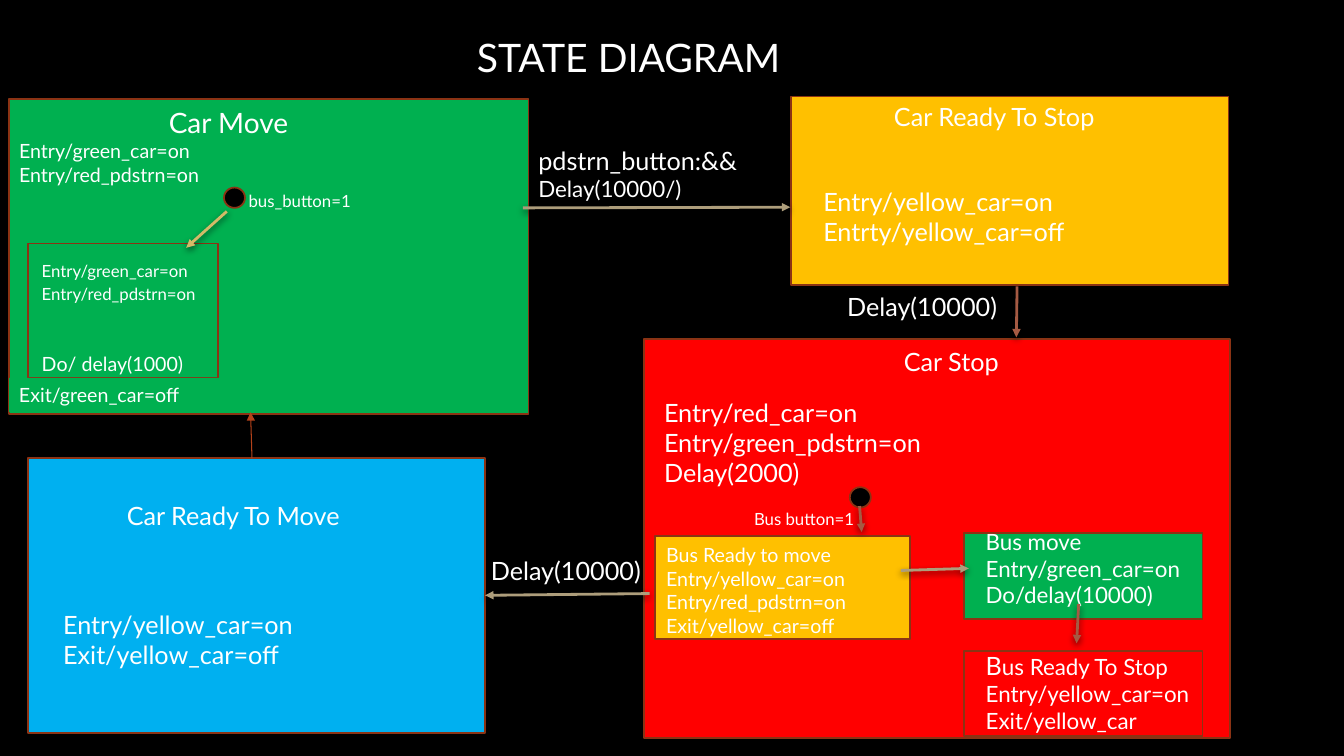
from lxml.etree import SubElement
from pptx import Presentation
from pptx.dml.color import RGBColor
from pptx.enum.shapes import MSO_CONNECTOR, MSO_SHAPE
from pptx.enum.text import MSO_ANCHOR, PP_ALIGN
from pptx.oxml.ns import qn
from pptx.util import Pt

FONT = "Lato"
WHITE, BLACK, BORDER = "FFFFFF", "000000", "8B3314"
GREEN, AMBER, RED, BLUE = "00B050", "FFC000", "FF0000", "00B0F0"
SAND, GOLD, RUST, BRICK = "AD9D7B", "D3BA68", "A55A43", "B4421A"


def rgb(value):
    """Turn a hex string into a colour."""
    return RGBColor.from_string(value)


def inside(box, dx, dy, w, h):
    """Give the box that lies at an offset within another box."""
    return box[0] + dx, box[1] + dy, w, h


def write(sp, lines):
    """Fill a shape with (text, size, space before) lines."""
    tf = sp.text_frame
    tf.word_wrap = True
    tf.vertical_anchor = MSO_ANCHOR.TOP
    for i, (text, size, before) in enumerate(lines):
        p = tf.add_paragraph() if i else tf.paragraphs[0]
        p.add_run().text = text
        p.alignment = PP_ALIGN.LEFT
        p.space_before = Pt(before)
        p.font.name = FONT
        p.font.size = Pt(size)
        p.font.color.rgb = rgb(WHITE)
    return tf


def label(s, box, size, *texts):
    """Add a text box with lines of one size."""
    sp = s.shapes.add_textbox(*map(Pt, box))
    return write(sp, [(text, size, 0) for text in texts])


def block(s, box, fill, line=BORDER, kind=MSO_SHAPE.RECTANGLE):
    """Add a filled shape, outlined unless line is None."""
    sp = s.shapes.add_shape(kind, *map(Pt, box))
    sp.shadow.inherit = False
    sp.fill.solid()
    sp.fill.fore_color.rgb = rgb(fill)
    if line:
        sp.line.color.rgb = rgb(line)
        sp.line.width = Pt(1.25)
    else:
        sp.line.fill.background()
    return sp


def dot(s, x, y):
    """Add the black start dot of an inner state machine."""
    block(s, (x, y, 15, 14.5), BLACK, kind=MSO_SHAPE.FLOWCHART_CONNECTOR)


def arrow(s, x1, y1, x2, y2, color, width=2, shadow=True):
    """Add an arrow, by default with a soft shadow below it."""
    cn = s.shapes.add_connector(MSO_CONNECTOR.STRAIGHT, Pt(x1), Pt(y1), Pt(x2), Pt(y2))
    cn.line.color.rgb = rgb(color)
    cn.line.width = Pt(width)
    SubElement(cn.line._get_or_add_ln(), qn("a:tailEnd"), type="triangle")
    effects = SubElement(cn._element.spPr, qn("a:effectLst"))
    if shadow:
        outer = SubElement(effects, qn("a:outerShdw"), blurRad=str(Pt(5)),
                           dist=str(Pt(2)), dir="5400000", rotWithShape="0")
        black = SubElement(outer, qn("a:srgbClr"), val=BLACK)
        SubElement(black, qn("a:alpha"), val="60000")
    return cn


def title(s, box):
    """Add the slide title."""
    write(block(s, box, BLACK, BLACK), [("STATE DIAGRAM", 28, 0)])


def car_move(s, box):
    """Draw the green state with its bus button branch."""
    x, y, w, h = box
    block(s, box, GREEN)
    label(s, inside(box, 107, 1.5, 150, 32), 20, "Car Move")
    label(s, inside(box, 0, 25.5, 218, 42), 14,
          "Entry/green_car=on", "Entry/red_pdstrn=on")
    block(s, inside(box, 13.5, 103.5, 135.5, 96), GREEN)
    sp = s.shapes.add_textbox(*map(Pt, inside(box, 16.25, 112, 166, 92)))
    write(sp, [("Entry/green_car=on", 12, 0), ("Entry/red_pdstrn=on", 12, 2.4),
               ("Do/ delay(1000)", 14, 34)])
    leave = block(s, inside(box, 0, 199.5, 216, 24.5), GREEN, None)
    write(leave, [("Exit/green_car=off", 14, 0)])
    dot(s, x + 153.5, y + 63.5)
    arrow(s, x + 155.5, y + 80.5, x + 126.5, y + 106.5, GOLD)
    label(s, inside(box, 164, 62.5, 200, 22), 12, "bus_button=1")


def car_ready(s, box, fill, head, head_at, body, body_at):
    """Draw a plain state with a heading and two actions."""
    sp = block(s, box, fill)
    label(s, inside(box, *head_at, 216, 29), 18, head)
    label(s, inside(box, *body_at, 214, 51), 18, *body)
    return sp


def car_stop(s, box):
    """Draw the red state with its three bus states."""
    x, y, w, h = box
    block(s, box, RED)
    label(s, inside(box, 178.5, 2, 160, 29), 18, "Car Stop")
    label(s, inside(box, 7.25, 38, 216, 73), 18,
          "Entry/red_car=on", "Entry/green_pdstrn=on", "Delay(2000)")
    label(s, inside(box, 71.5, 118, 110, 22), 12, "Bus button=1")
    block(s, inside(box, 8, 141, 182, 73.5), AMBER)
    block(s, inside(box, 228.5, 139, 170.5, 61), GREEN)
    block(s, inside(box, 228.5, 223, 170.5, 61), RED)
    label(s, inside(box, 8.75, 142.5, 216, 75), 14, "Bus Ready to move",
          "Entry/yellow_car=on", "Entry/red_pdstrn=on", "Exit/yellow_car=off")
    label(s, inside(box, 237, 131.5, 216, 65.5), 16,
          "Bus move", "Entry/green_car=on", "Do/delay(10000)")
    tf = label(s, inside(box, 237, 219, 216, 67.5), 16,
               "B", "Entry/yellow_car=on", "Exit/yellow_car")
    p = tf.paragraphs[0]
    p.runs[0].font.size = Pt(18)
    p.add_run().text = "us Ready To Stop"
    dot(s, x + 147, y + 106)
    arrow(s, x + 154, y + 119.5, x + 155.5, y + 138, RUST)
    arrow(s, x + 183.5, y + 165.5, x + 232, y + 164, SAND)
    arrow(s, x + 310.5, y + 189.5, x + 309, y + 217.5, RUST)


def transitions(s, ready_move):
    """Draw the arrows between the car states and their conditions."""
    arrow(s, 373.5, 148.5, 564.5, 148, SAND)
    arrow(s, 726.5, 204.5, 726, 241, RUST)
    arrow(s, 464, 424, 347, 426, SAND).end_connect(ready_move, 3)
    arrow(s, 180, 327.5, 179, 294.5, BRICK, 0.75, False)
    label(s, (343.5, 393, 216, 29), 18, "Delay(10000)")
    label(s, (598, 204.5, 160, 29), 18, "Delay(10000)")
    tf = label(s, (377.5, 100, 216, 73), 18, "pdstrn_button:&&", "Delay(10000/)")
    tf.paragraphs[1].font.size = Pt(16)


def main():
    """Build the slide and save it."""
    prs = Presentation()
    prs.slide_width, prs.slide_height = Pt(960), Pt(540)
    s = prs.slides.add_slide(prs.slide_layouts[6])
    s.background.fill.solid()
    s.background.fill.fore_color.rgb = rgb(BLACK)
    title(s, (333.5, 20, 268, 41))
    car_move(s, (6.5, 70.5, 371, 225.5))
    car_ready(s, (565, 69, 312.5, 134.5), AMBER, "Car Ready To Stop", (66.5, 0),
              ("Entry/yellow_car=on", "Entrty/yellow_car=off"), (16, 60.5))
    car_stop(s, (460, 242, 418.5, 285))
    ready_move = car_ready(
        s, (20, 327, 326.5, 196.5), BLUE, "Car Ready To Move", (63.5, 27),
        ("Entry/yellow_car=on", "Exit/yellow_car=off"), (18, 104.5))
    transitions(s, ready_move)
    prs.save("out.pptx")


if __name__ == "__main__":
    main()
